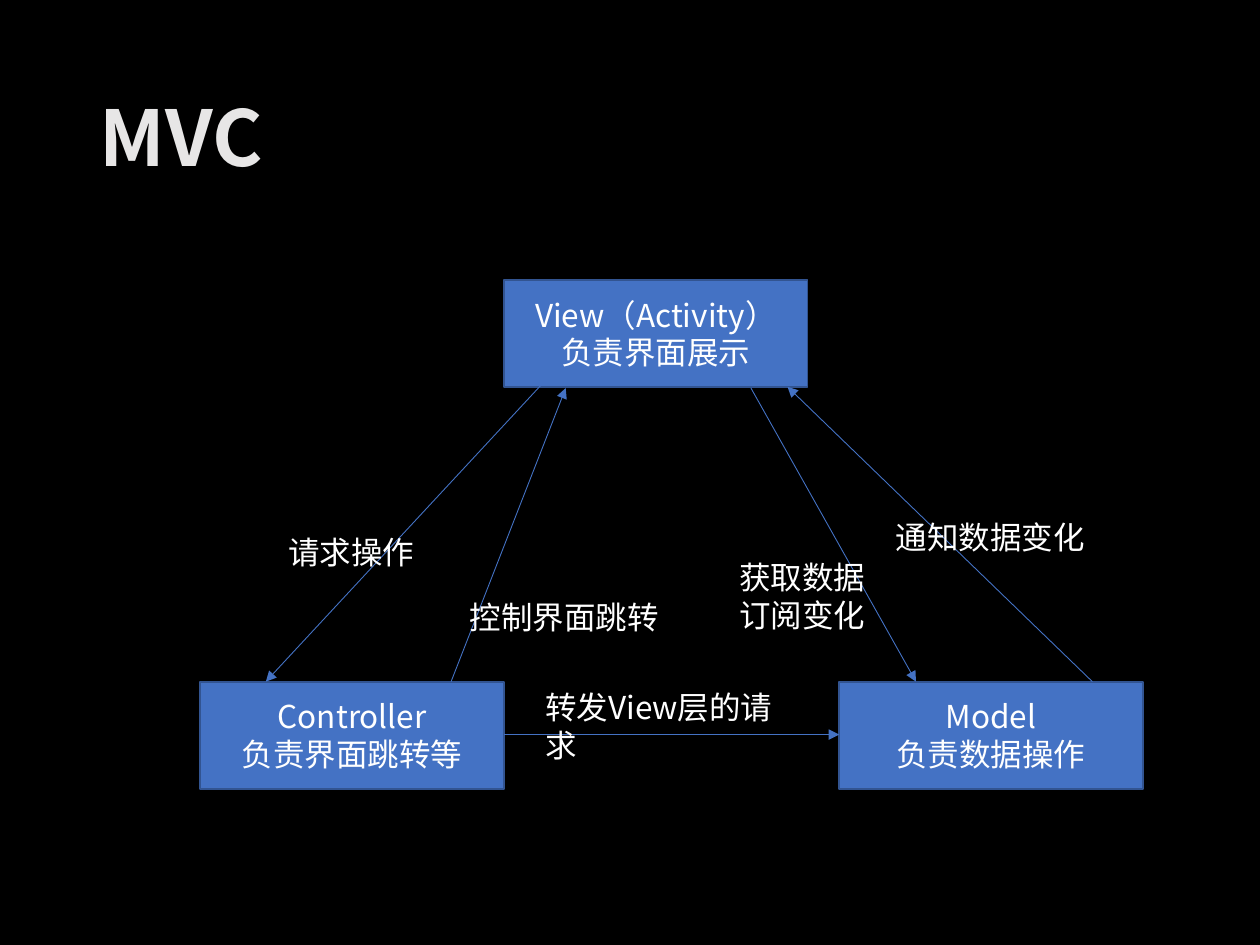
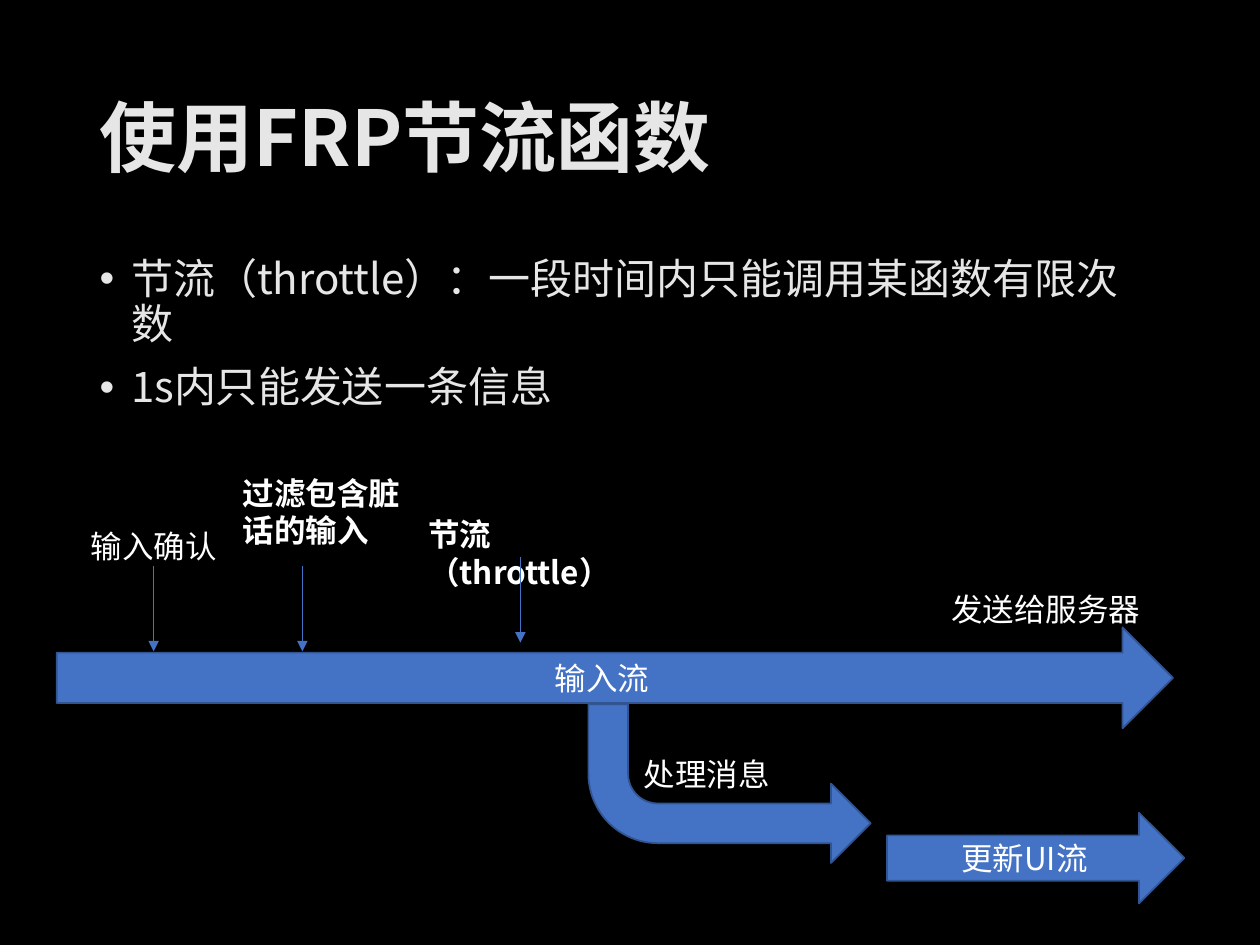
import pptx
import pptx.dml.color
import pptx.enum.shapes
import pptx.enum.text
import pptx.oxml
import pptx.oxml.ns
import pptx.util

PX = 9144  # EMU in one px, at 100 px to the inch
COLORS = {"back": "000000", "heading": "E7E6E6", "text": "FFFFFF",
          "fill": "4472C4", "edge": "325491"}
FONT = "Noto Sans CJK SC"

SHAPE = pptx.enum.shapes.MSO_SHAPE
ALIGN = pptx.enum.text.PP_ALIGN
ANCHOR = pptx.enum.text.MSO_ANCHOR
FIT = pptx.enum.text.MSO_AUTO_SIZE


def rgb(name):
    return pptx.dml.color.RGBColor.from_string(COLORS[name])


def set_all(target, values):
    for name, value in values.items():
        setattr(target, name, value)


def add_xml(parent, tag, **attributes):
    child = pptx.oxml.parse_xml(f"<a:{tag} {pptx.oxml.ns.nsdecls('a')}/>")
    for name, value in attributes.items():
        child.set(name, value)
    parent.append(child)


class Deck:
    TITLE_BOX = (69, 40, 862, 145)
    BODY_BOX = (69, 200, 862, 476)

    def __init__(self):
        self.prs = pptx.Presentation()
        set_all(self.prs, {"slide_width": 1000 * PX, "slide_height": 750 * PX})
        self.slide = None

    def new_slide(self, title, layout):
        self.slide = self.prs.slides.add_slide(self.prs.slide_layouts[layout])
        background = self.slide.background.fill
        background.solid()
        background.fore_color.rgb = rgb("back")
        heading = self.slide.shapes.title
        self.place(heading, self.TITLE_BOX)
        heading.fill.solid()
        heading.fill.fore_color.rgb = rgb("back")
        self.fill_text(heading, [title], 44, "heading", bold=True, anchor=ANCHOR.MIDDLE,
                       paragraph={"alignment": ALIGN.LEFT, "line_spacing": 0.9})

    def place(self, shape, box):
        set_all(shape, dict(zip(("left", "top", "width", "height"),
                                (length * PX for length in box))))

    def fill_text(self, shape, lines, size=18, color="text", bold=False,
                  anchor=ANCHOR.TOP, wrap=True, fit=FIT.NONE, paragraph=None):
        frame = shape.text_frame
        set_all(frame, {"text": "\n".join(lines), "word_wrap": wrap,
                        "auto_size": fit, "vertical_anchor": anchor})
        for line in frame.paragraphs:
            set_all(line, paragraph or {})
            for run in line.runs:
                set_all(run.font, {"size": pptx.util.Pt(size), "bold": bold, "name": FONT})
                run.font.color.rgb = rgb(color)
                add_xml(run.font._element, "ea", typeface=FONT)

    def bullets(self, *lines):
        body = self.slide.placeholders[1]
        self.place(body, self.BODY_BOX)
        self.fill_text(body, lines, 24, "heading",
                       paragraph={"line_spacing": 0.9, "space_before": pptx.util.Pt(10)})
        for line in body.text_frame.paragraphs:
            properties = line._p.get_or_add_pPr()
            properties.set("marL", str(25 * PX))
            properties.set("indent", str(-25 * PX))
            add_xml(properties, "buChar", char="•")

    def block(self, box, *lines, kind=SHAPE.RECTANGLE, flipped=False):
        shape = self.slide.shapes.add_shape(kind, *(length * PX for length in box))
        shape.shadow.inherit = False
        shape.fill.solid()
        shape.fill.fore_color.rgb = rgb("fill")
        shape.line.color.rgb = rgb("edge")
        shape.line.width = pptx.util.Pt(1)
        if flipped:
            shape.element.spPr.xfrm.set("flipV", "1")
        self.fill_text(shape, lines, anchor=ANCHOR.MIDDLE,
                       paragraph={"alignment": ALIGN.CENTER})

    def label(self, box, *lines, bold=False, wrap=False):
        text = self.slide.shapes.add_textbox(*(length * PX for length in box))
        self.fill_text(text, lines, bold=bold, wrap=wrap, fit=FIT.SHAPE_TO_FIT_TEXT)

    def arrow(self, *ends):
        line = self.slide.shapes.add_connector(
            pptx.enum.shapes.MSO_CONNECTOR.STRAIGHT, *(length * PX for length in ends))
        line.line.color.rgb = rgb("fill")
        line.line.width = pptx.util.Pt(0.5)
        add_xml(line.line._get_or_add_ln(), "tailEnd", type="triangle")
        add_xml(line.element.spPr, "effectLst")


def mvc_slide(deck):
    deck.new_slide("MVC", layout=5)

    # The three roles
    roles = [(666, 541, "Model", "负责数据操作"),
             (400, 222, "View（Activity）", "负责界面展示"),
             (159, 541, "Controller", "负责界面跳转等")]
    for left, top, role, duty in roles:
        deck.block((left, top, 241, 85), role, duty)

    # Messages between the roles
    deck.arrow(430, 305, 211, 541)
    deck.label((219, 418, 121, 40), "请求操作")
    deck.arrow(358, 541, 449, 308)
    deck.label((363, 470, 172, 40), "控制界面跳转")
    deck.arrow(400, 583, 666, 583)
    deck.label((423, 541, 223, 71), "转发View层的请求", wrap=True)
    deck.arrow(596, 308, 727, 541)
    deck.label((577, 438, 121, 71), "获取数据", "订阅变化")
    deck.arrow(867, 541, 625, 307)
    deck.label((701, 406, 172, 40), "通知数据变化")


def throttle_slide(deck):
    deck.new_slide("使用FRP节流函数", layout=1)
    deck.bullets("节流（throttle）：一段时间内只能调用某函数有限次数",
                 "1s内只能发送一条信息")

    # Streams
    deck.block((45, 498, 886, 80), "输入流", kind=SHAPE.RIGHT_ARROW)
    deck.block((467, 559, 224, 126), kind=SHAPE.BENT_ARROW, flipped=True)
    deck.block((704, 645, 236, 72), "更新UI流", kind=SHAPE.RIGHT_ARROW)
    deck.label((745, 463, 172, 40), "发送给服务器")
    deck.label((501, 594, 121, 40), "处理消息")

    # Steps that act on the input stream
    deck.label((62, 413, 121, 40), "输入确认")
    deck.label((183, 371, 163, 71), "过滤包含脏话的输入", bold=True, wrap=True)
    deck.label((330, 404, 190, 40), "节流（throttle）", bold=True, wrap=True)
    for x, top in [(122, 449), (240, 449), (413, 442)]:
        deck.arrow(x, top, x, top + 68)


def main():
    deck = Deck()
    mvc_slide(deck)
    throttle_slide(deck)
    deck.prs.save("out.pptx")


if __name__ == "__main__":
    main()
